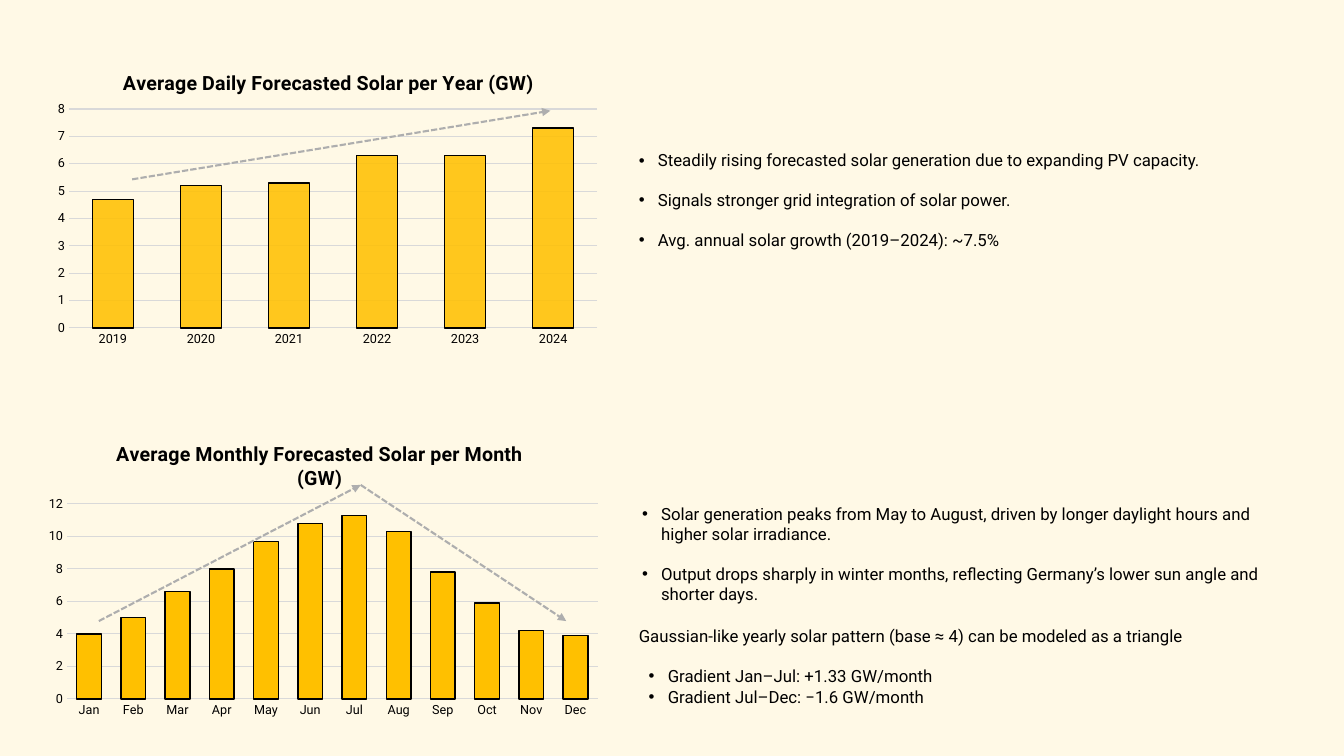
from dataclasses import dataclass

from lxml.etree import SubElement
from pptx import Presentation
from pptx.chart.data import CategoryChartData
from pptx.dml.color import RGBColor
from pptx.enum.chart import XL_CHART_TYPE as ChartType, XL_TICK_MARK as Tick
from pptx.enum.dml import MSO_LINE_DASH_STYLE as Dash
from pptx.enum.shapes import MSO_CONNECTOR as Connector
from pptx.enum.text import MSO_AUTO_SIZE as AutoSize
from pptx.oxml import parse_xml
from pptx.oxml.ns import nsdecls, qn
from pptx.util import Cm, Pt


@dataclass(frozen=True)
class Theme:
    font: str = "Roboto"
    background: str = "FFF9E6"
    ink: str = "000000"
    bar: str = "FFC000"
    grid: str = "D9D9D9"
    trend: str = "AEAEAE"
    title_size: float = 14
    body_size: float = 12
    axis_size: float = 9


@dataclass(frozen=True)
class SolarChart:
    title: str
    box: tuple[float, float, float, float]
    title_at: tuple[float, float]
    plot: tuple[float, float, float, float]  # fractions of the chart
    categories: list[str]
    values: list[float]
    gap: int
    top: int
    step: int
    opacity: int = 100


@dataclass(frozen=True)
class TextBlock:
    box: tuple[float, float, float, float]
    lines: list[str]
    bulleted: bool = True
    gap: float = 0


@dataclass(frozen=True)
class Trend:
    start: tuple[float, float]
    end: tuple[float, float]


THEME = Theme()
PEAK = (9.09, 12.22)

CHARTS = [
    SolarChart("Average Monthly Forecasted Solar per Month (GW)",
               (0.97, 10.62, 14.38, 7.62), (0.13, 0.05), (0.05, 0.273, 0.93, 0.645),
               "Jan Feb Mar Apr May Jun Jul Aug Sep Oct Nov Dec".split(),
               [4, 5, 6.6, 8, 9.7, 10.8, 11.3, 10.3, 7.8, 5.9, 4.2, 3.9],
               gap=79, top=12, step=2),
    SolarChart("Average Daily Forecasted Solar per Year (GW)",
               (1.17, 1.27, 14.15, 7.62), (0.13, 0.05), (0.04, 0.194, 0.941, 0.724),
               [str(year) for year in range(2019, 2025)],
               [4.7, 5.2, 5.3, 6.3, 6.3, 7.3],
               gap=115, top=8, step=1, opacity=87),
]

TEXTS = [
    TextBlock((15.85, 3.66, 18.03, 4.37), [
        "Steadily rising forecasted solar generation due to expanding PV capacity.",
        "Signals stronger grid integration of solar power.",
        "Avg. annual solar growth (2019–2024): ~7.5%"], gap=14),
    TextBlock((15.93, 12.57, 16.31, 2.82), [
        "Solar generation peaks from May to August, driven by longer daylight hours "
        "and higher solar irradiance.",
        "Output drops sharply in winter months, reflecting Germany’s lower sun angle "
        "and shorter days."], gap=14),
    TextBlock((15.85, 15.65, 17.75, 0.76), [
        "Gaussian-like yearly solar pattern (base ≈ 4) can be modeled as a triangle"],
        bulleted=False),
    TextBlock((16.1, 16.66, 17.5, 1.27), [
        "Gradient Jan–Jul: +1.33 GW/month",
        "Gradient Jul–Dec: −1.6 GW/month"]),
]

TRENDS = [
    Trend((2.49, 15.65), PEAK),
    Trend(PEAK, (14.27, 15.65)),
    Trend((3.33, 4.52), (13.87, 2.79)),
]


def rgb(color: str) -> RGBColor:
    return RGBColor.from_string(color)


def format_font(font, *, size: float, bold: bool = False) -> None:
    font.name, font.size, font.bold = THEME.font, Pt(size), bold
    font.color.rgb = rgb(THEME.ink)


def add_text(p, text: str, *, size: float, bold: bool = False,
             bulleted: bool = False, gap: float = 0) -> None:
    r = p.add_run()
    r.text = text
    format_font(r.font, size=size, bold=bold)
    if gap:
        p.space_after = Pt(gap)
    if bulleted:
        props = p._p.get_or_add_pPr()
        props.set("marL", str(Cm(0.48)))
        props.set("indent", str(-Cm(0.48)))
        SubElement(props, qn("a:buFont"), typeface="Arial")
        SubElement(props, qn("a:buChar"), char="•")


def set_layout(parent, before: tuple[str, ...], **fractions: float) -> None:
    """Place a title or plot area inside its chart, ahead of the named siblings."""
    for old in parent.findall(qn("c:layout")):
        parent.remove(old)
    inner = '<c:layoutTarget val="inner"/>' if "w" in fractions else ""
    modes = "".join(f'<c:{k}Mode val="edge"/>' for k in "xy")
    values = "".join(f'<c:{k} val="{v}"/>' for k, v in fractions.items())
    layout = parse_xml(f'<c:layout {nsdecls("c")}><c:manualLayout>'
                       f'{inner}{modes}{values}</c:manualLayout></c:layout>')
    next(el for el in parent if el.tag in map(qn, before)).addprevious(layout)


def style_axis(axis) -> None:
    axis.major_tick_mark = axis.minor_tick_mark = Tick.NONE
    format_font(axis.tick_labels.font, size=THEME.axis_size)


def add_solar_chart(slide, spec_of: SolarChart) -> None:
    data = CategoryChartData()
    data.categories = spec_of.categories
    data.add_series("Series 1", spec_of.values)
    chart = slide.shapes.add_chart(ChartType.COLUMN_CLUSTERED,
                                   *map(Cm, spec_of.box), data).chart
    format_font(chart.font, size=10)
    chart.has_legend = False
    add_text(chart.chart_title.text_frame.paragraphs[0], spec_of.title,
             size=THEME.title_size, bold=True)
    set_layout(chart.chart_title._element, ("c:overlay",),
               **dict(zip("xy", spec_of.title_at)))
    set_layout(chart._chartSpace.chart.plotArea, ("c:barChart",),
               **dict(zip("xywh", spec_of.plot)))

    style_axis(chart.category_axis)
    axis_line = chart.category_axis.format.line
    style_axis(chart.value_axis)
    chart.value_axis.format.line.fill.background()
    chart.value_axis.minimum_scale = 0
    chart.value_axis.maximum_scale = spec_of.top
    chart.value_axis.major_unit = spec_of.step
    for line in (axis_line, chart.value_axis.major_gridlines.format.line):
        line.color.rgb, line.width = rgb(THEME.grid), Pt(0.75)

    plot = chart.plots[0]
    plot.gap_width, plot.overlap, plot.vary_by_categories = spec_of.gap, -27, False
    bars = plot.series[0].format
    bars.fill.solid()
    bars.fill.fore_color.rgb = rgb(THEME.bar)
    bars.line.color.rgb, bars.line.width = rgb(THEME.ink), Pt(1)
    if spec_of.opacity < 100:
        color = plot.series[0]._element.find(f'.//{qn("a:solidFill")}/{qn("a:srgbClr")}')
        SubElement(color, qn("a:alpha"), val=str(spec_of.opacity * 1000))


def add_text_block(slide, block: TextBlock) -> None:
    tf = slide.shapes.add_textbox(*map(Cm, block.box)).text_frame
    tf.word_wrap, tf.auto_size = True, AutoSize.SHAPE_TO_FIT_TEXT
    for i, line in enumerate(block.lines):
        p = tf.add_paragraph() if i else tf.paragraphs[0]
        last = i == len(block.lines) - 1
        add_text(p, line, size=THEME.body_size, bulleted=block.bulleted,
                 gap=0 if last else block.gap)


def add_trend(slide, trend: Trend) -> None:
    arrow = slide.shapes.add_connector(Connector.STRAIGHT,
                                       *map(Cm, trend.start + trend.end))
    arrow.line.color.rgb, arrow.line.width = rgb(THEME.trend), Pt(1.5)
    arrow.line.dash_style = Dash.SQUARE_DOT
    SubElement(arrow.line._get_or_add_ln(), qn("a:tailEnd"), type="triangle")
    SubElement(arrow._element.spPr, qn("a:effectLst"))


def main() -> None:
    prs = Presentation()
    prs.slide_width, prs.slide_height = Cm(33.87), Cm(19.05)
    slide = prs.slides.add_slide(prs.slide_layouts[6])
    slide.background.fill.solid()
    slide.background.fill.fore_color.rgb = rgb(THEME.background)
    for item in CHARTS:
        add_solar_chart(slide, item)
    for block in TEXTS:
        add_text_block(slide, block)
    for trend in TRENDS:
        add_trend(slide, trend)
    prs.save("out.pptx")


if __name__ == "__main__":
    main()
